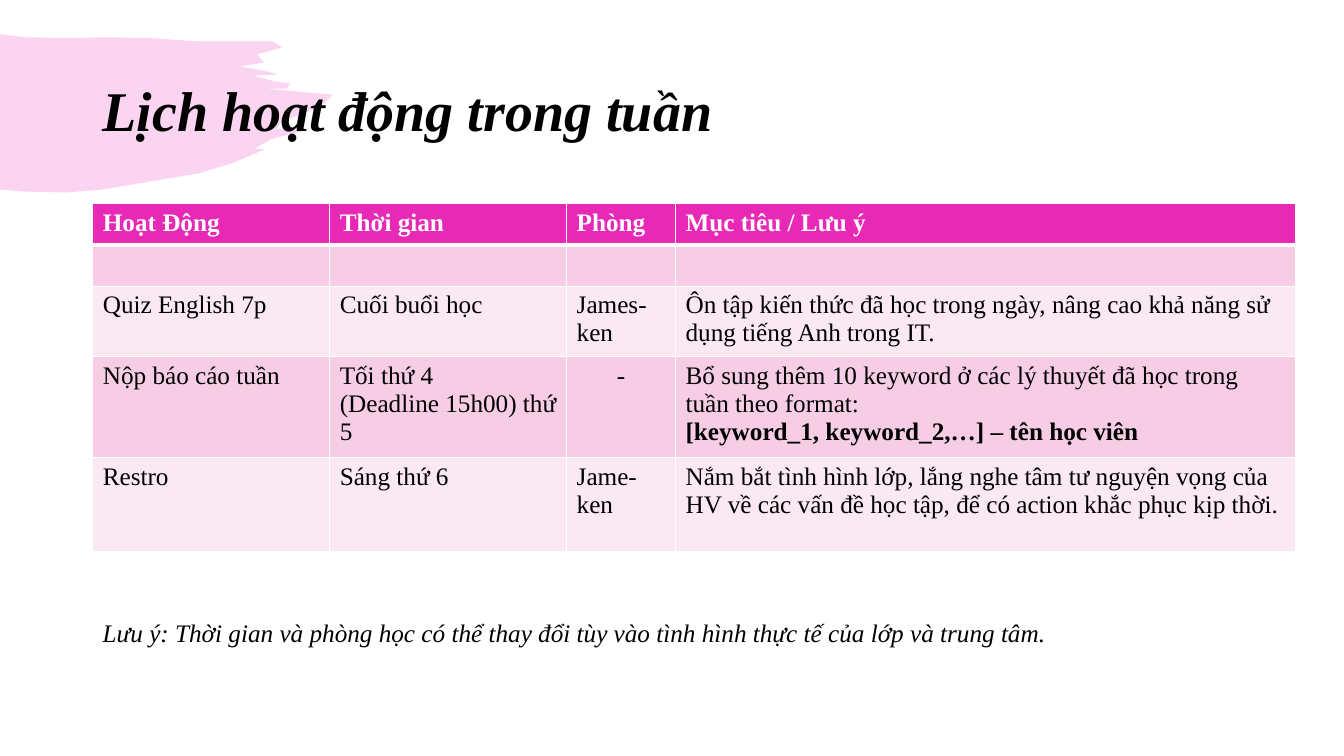
from lxml.etree import SubElement
from pptx import Presentation
from pptx.dml.color import RGBColor
from pptx.enum.text import MSO_ANCHOR, PP_ALIGN
from pptx.oxml.ns import qn
from pptx.util import Pt

# Content
TITLE = "Lịch hoạt động trong tuần"
NOTE = ("Lưu ý: Thời gian và phòng học có thể thay đổi tùy vào "
        "tình hình thực tế của lớp và trung tâm.")
KEYS = "[keyword_1, keyword_2,…] – tên học viên"
ROWS = [
    ("Hoạt Động", "Thời gian", "Phòng", "Mục tiêu / Lưu ý"),
    ("", "", "", ""),
    ("Quiz English 7p", "Cuối buổi học", "James-ken",
     "Ôn tập kiến thức đã học trong ngày, nâng cao khả năng sử dụng "
     "tiếng Anh trong IT."),
    ("Nộp báo cáo tuần", "Tối thứ 4\n(Deadline 15h00) thứ 5", "-",
     "Bổ sung thêm 10 keyword ở các lý thuyết đã học trong tuần theo "
     "format:\n" + KEYS),
    ("Restro", "Sáng thứ 6", "Jame-ken",
     "Nắm bắt tình hình lớp, lắng nghe tâm tư nguyện vọng của HV về các "
     "vấn đề học tập, để có action khắc phục kịp thời."),
]

# Layout in px, 100 to the inch
PX = 9144
SIZE = (1333, 750)
BOXES = {"title": (92, 40, 1150, 145), "table": (92, 202, 1193, 312),
         "note": (92, 608, 1134, 40)}
COLS = (235, 235, 108, 615)
HIGH = (41, 41, 64, 93, 93)
HEX = {"pink": "E729B5", "dark": "F6CDE5", "light": "FAE8F3",
       "white": "FFFFFF", "black": "000000"}
FONT = "Times New Roman"

# Outline of the brush stroke
BRUSH = [
    (0, 34), (25, 37), (66, 38), (102, 37), (151, 38), (194, 41),
    (248, 41), (270, 41), (280, 47), (255, 54), (262, 62), (238, 66),
    (266, 71), (275, 74), (251, 75), (273, 81), (288, 83), (284, 88),
    (263, 88), (330, 94), (318, 106), (300, 113), (280, 120), (274, 128),
    (308, 128), (269, 138), (252, 148), (263, 148), (230, 162), (197, 172),
    (102, 188), (65, 191), (23, 190), (0, 188),
]


def color(name):
    return RGBColor.from_string(HEX[name])


def place(key):
    return [n * PX for n in BOXES[key]]


def write(frame, text, tint="black", **style):
    """Put each line of text in its own paragraph."""
    frame.word_wrap = True
    for i, line in enumerate(text.split("\n")):
        para = frame.paragraphs[0] if i == 0 else frame.add_paragraph()
        font = para.font
        if line:
            run = para.add_run()
            run.text = line
            font = run.font
        form = {"name": FONT, "size": Pt(18), "bold": line == KEYS, **style}
        for name, value in form.items():
            setattr(font, name, value)
        font.color.rgb = color(tint)


def border(cell, widths):
    props = cell._tc.get_or_add_tcPr()
    for side, width in zip("LRTB", widths):
        line = SubElement(props, qn("a:ln" + side), w=str(Pt(width)))
        fill = SubElement(line, qn("a:solidFill"))
        SubElement(fill, qn("a:srgbClr"), val=HEX["white"])


deck = Presentation()
deck.slide_width, deck.slide_height = [n * PX for n in SIZE]
slide = deck.slides.add_slide(deck.slide_layouts[6])
shapes = slide.shapes

# Brush stroke
pen = shapes.build_freeform(*BRUSH[0], scale=PX)
pen.add_line_segments(BRUSH[1:], close=True)
brush = pen.convert_to_shape()
brush.shadow.inherit = False
brush.fill.solid()
brush.fill.fore_color.rgb = color("pink")
brush.line.fill.background()
tone = brush._element.spPr.find(qn("a:solidFill")).find(qn("a:srgbClr"))
SubElement(tone, qn("a:alpha"), val="20000")

# Title
title = shapes.add_textbox(*place("title")).text_frame
title.vertical_anchor = MSO_ANCHOR.MIDDLE
write(title, TITLE, size=Pt(40), bold=True, italic=True)
title.paragraphs[0].line_spacing = 0.9

# Schedule table
table = shapes.add_table(len(ROWS), len(COLS), *place("table")).table
for col, width in zip(table.columns, COLS):
    col.width = width * PX
for r, (row, high) in enumerate(zip(ROWS, HIGH)):
    table.rows[r].height = high * PX
    back = "pink" if r == 0 else "dark" if r % 2 else "light"
    for c, text in enumerate(row):
        cell = table.cell(r, c)
        border(cell, (1, 1, 3 if r == 1 else 1, 3 if r == 0 else 1))
        cell.fill.solid()
        cell.fill.fore_color.rgb = color(back)
        if r == 0:
            write(cell.text_frame, text, "white", bold=True)
        else:
            write(cell.text_frame, text)
        if text == "-":
            cell.text_frame.paragraphs[0].alignment = PP_ALIGN.CENTER

# Note
write(shapes.add_textbox(*place("note")).text_frame, NOTE, italic=True)

deck.save("out.pptx")
